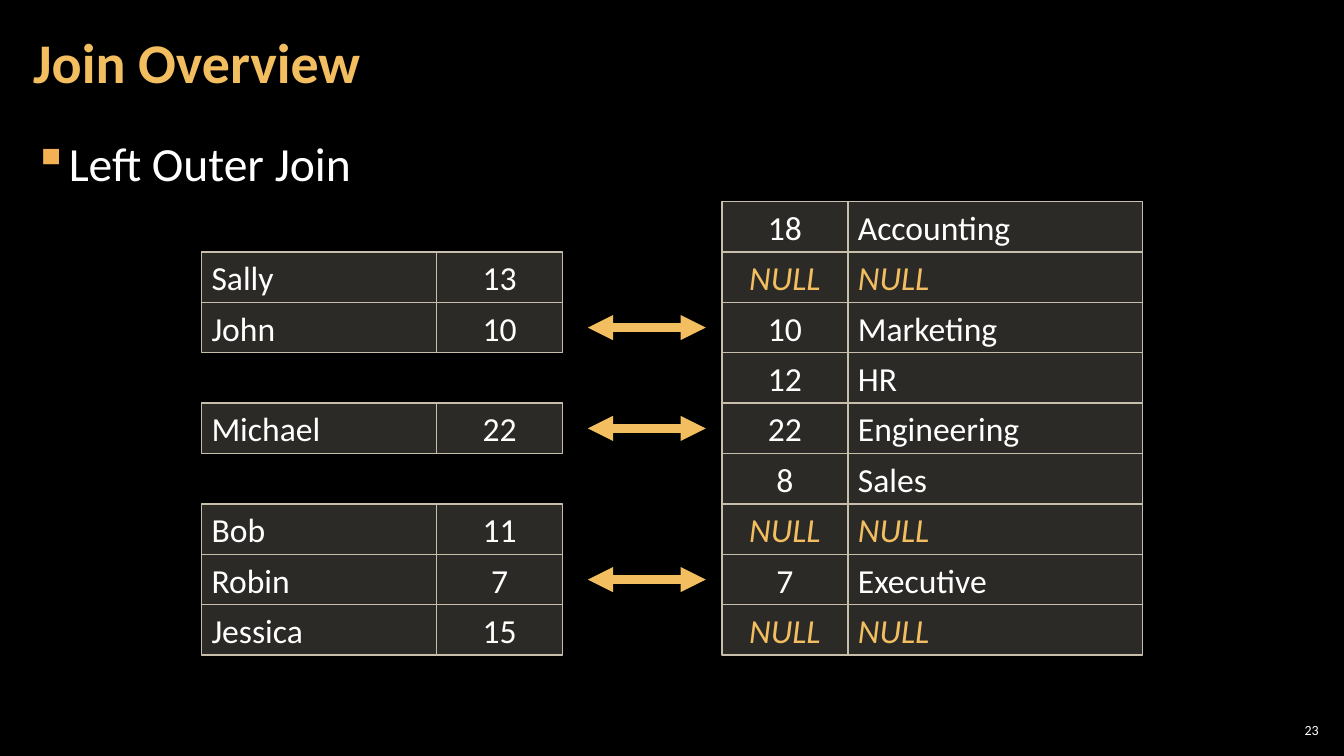
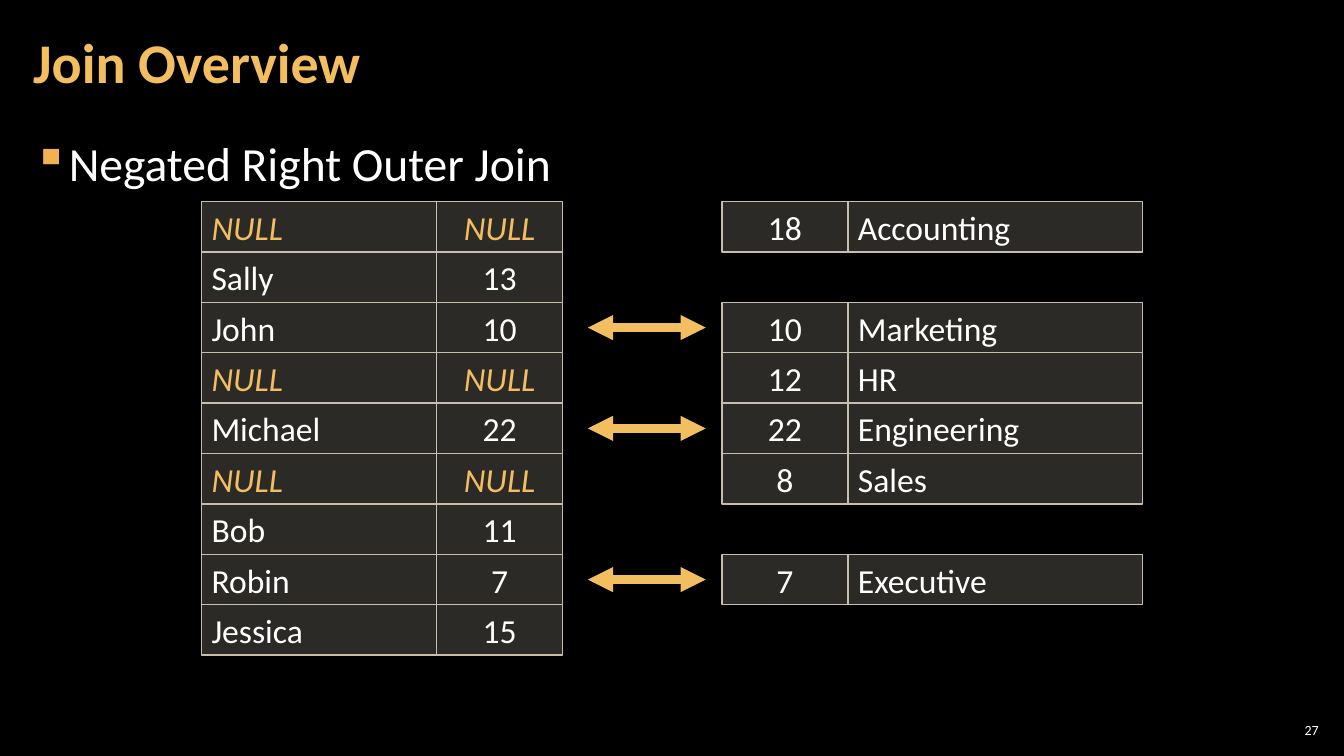
import lxml.etree
import pptx
import pptx.dml.color
import pptx.enum.shapes
import pptx.enum.text
import pptx.oxml.ns
import pptx.util

STAFF = [None, ("Sally", "13"), ("John", "10"), None, ("Michael", "22"),
         None, ("Bob", "11"), ("Robin", "7"), ("Jessica", "15")]
DEPTS = [("18", "Accounting"), None, ("10", "Marketing"), ("12", "HR"),
         ("22", "Engineering"), ("8", "Sales"), None, ("7", "Executive"), None]
TITLE = "Join Overview"
SLIDES = [
    {"topic": "Left Outer Join", "keep": "left", "page": "23"},
    {"topic": "Negated Right Outer Join", "keep": "right", "page": "27"},
]

HUES = {"back": "000000", "gold": "F3BE60", "mark": "F2B254",
        "text": "FFFFFF", "cell": "D9D5C7", "edge": "C7BFAC"}
FONT = "Calibri"
WIDE, HIGH = 13.33, 7.5
TOP, ROW = 2, 0.5
NAME, KEY, DEPT = 2.33, 1.25, 2.92
LEFT = {"x": 2, "cols": (NAME, KEY), "key": 1}
RIGHT = {"x": 7.16, "cols": (KEY, DEPT), "key": 0}
ARROW = (5.83, 7)
NULL = ("NULL", "NULL")

inch = pptx.util.Inches
point = pptx.util.Pt
align = pptx.enum.text.PP_ALIGN
anchor = pptx.enum.text.MSO_ANCHOR


def hue(name):
    return pptx.dml.color.RGBColor.from_string(HUES[name])


def add_tag(node, tag, **attrs):
    return lxml.etree.SubElement(node, pptx.oxml.ns.qn(tag), attrs)


def write(par, text, size, tint="text", bold=False, slant=False):
    run = par.add_run()
    run.text = text
    font = run.font
    font.name, font.size = FONT, point(size)
    font.bold, font.italic = bold, slant
    font.color.rgb = hue(tint)


def add_text(slide, area, side, mid=True):
    frame = slide.shapes.add_textbox(*map(inch, area)).text_frame
    frame.word_wrap = True
    frame.margin_left = frame.margin_right = inch(side)
    frame.margin_top = frame.margin_bottom = inch(0.04)
    frame.vertical_anchor = anchor.MIDDLE if mid else anchor.TOP
    return frame.paragraphs[0]


def add_frame(slide, topic, page):
    par = add_text(slide, (12.65, 7.14, 0.47, 0.21), 0.04)
    par.alignment = align.RIGHT
    write(par, page, 10)

    par = add_text(slide, (0.21, 1.26, 12.91, 6.09), 0.12, mid=False)
    par.line_spacing = 1.05
    par.space_before = par.space_after = point(6)
    props = par._p.get_or_add_pPr()
    props.set("marL", str(inch(0.33)))
    props.set("indent", str(-inch(0.33)))
    add_tag(add_tag(props, "a:buClr"), "a:srgbClr", val=HUES["mark"])
    add_tag(props, "a:buChar", char="▪")
    write(par, topic, 34)

    par = add_text(slide, (0.21, 0.04, 10.47, 1.21), 0.12)
    par.line_spacing = 0.9
    write(par, TITLE, 40, "gold", bold=True)


def add_cell(slide, area, text, mid):
    box = slide.shapes.add_shape(
        pptx.enum.shapes.MSO_SHAPE.RECTANGLE, *map(inch, area))
    box.shadow.inherit = False
    box.fill.solid()
    box.fill.fore_color.rgb = hue("cell")
    tint = box._element.spPr.xpath("a:solidFill/a:srgbClr")[0]
    add_tag(tint, "a:alpha", val="20000")
    box.line.color.rgb = hue("edge")
    box.line.width = point(1)
    box.text_frame.vertical_anchor = anchor.MIDDLE
    par = box.text_frame.paragraphs[0]
    par.alignment = align.CENTER if mid else align.LEFT
    void = text == "NULL"
    write(par, text, 24, "gold" if void else "text", slant=void)


def add_grid(slide, side, rows):
    for i, row in enumerate(rows):
        x = side["x"]
        for j, text in enumerate(row or ()):
            wide = side["cols"][j]
            add_cell(slide, (x, TOP + i * ROW, wide, ROW), text, j == side["key"])
            x += wide


def add_arrow(slide, i):
    y = inch(TOP + (i + 0.5) * ROW)
    line = slide.shapes.add_connector(
        pptx.enum.shapes.MSO_CONNECTOR.STRAIGHT,
        inch(ARROW[0]), y, inch(ARROW[1]), y)
    line.line.color.rgb = hue("gold")
    line.line.width = point(6)
    props = line._element.spPr
    edge = props.find(pptx.oxml.ns.qn("a:ln"))
    for tag in ("a:headEnd", "a:tailEnd"):
        add_tag(edge, tag, type="triangle")
    add_tag(props, "a:effectLst")


def pad(rows, kept):
    return [row or (NULL if mate else None) for row, mate in zip(rows, kept)]


def main():
    deck = pptx.Presentation()
    deck.slide_width, deck.slide_height = inch(WIDE), inch(HIGH)
    back = deck.slide_master.background.fill
    back.solid()
    back.fore_color.rgb = hue("back")
    for page in SLIDES:
        slide = deck.slides.add_slide(deck.slide_layouts[6])
        add_frame(slide, page["topic"], page["page"])
        left = pad(STAFF, DEPTS) if page["keep"] == "right" else STAFF
        right = pad(DEPTS, STAFF) if page["keep"] == "left" else DEPTS
        add_grid(slide, LEFT, left)
        add_grid(slide, RIGHT, right)
        for i, (staff, dept) in enumerate(zip(STAFF, DEPTS)):
            if staff and dept:
                add_arrow(slide, i)
    deck.save("out.pptx")


if __name__ == "__main__":
    main()
